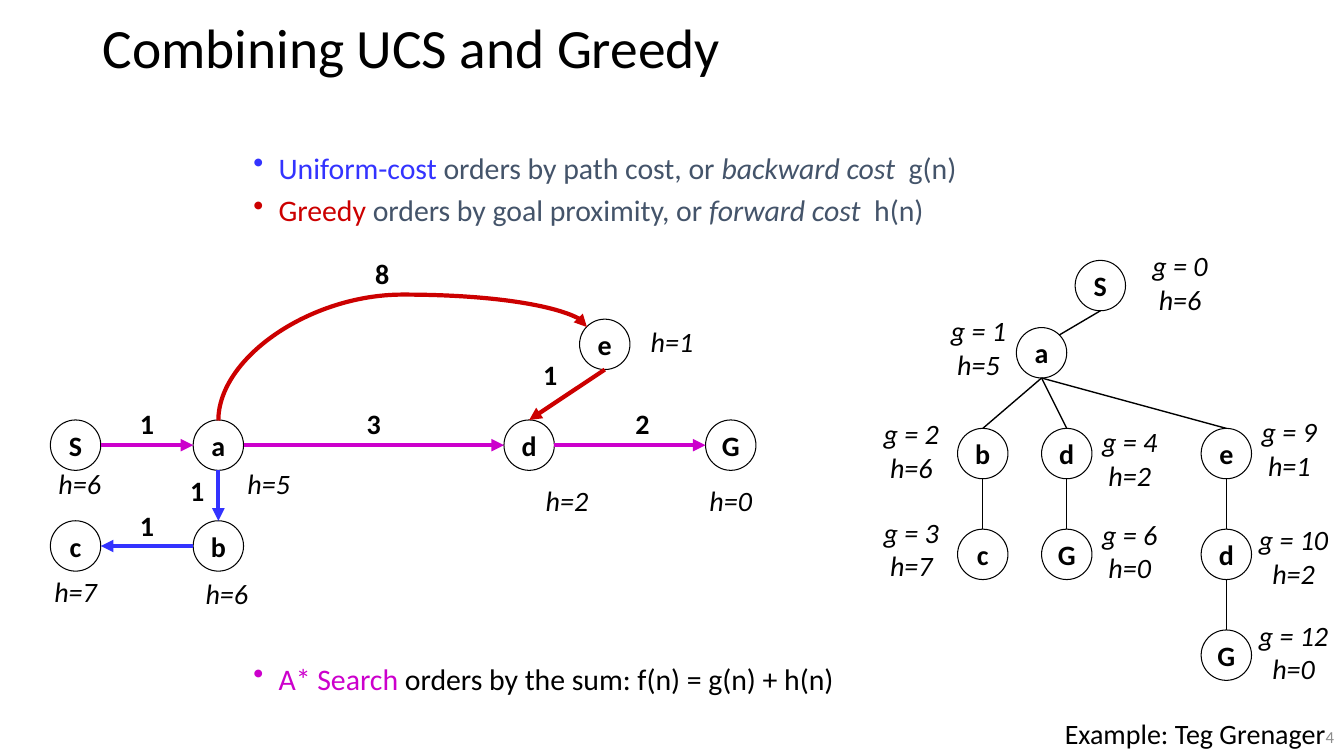
from dataclasses import dataclass
from math import sqrt

from lxml import etree
from pptx import Presentation
from pptx import util as u
from pptx.dml.color import RGBColor
from pptx.enum import shapes, text
from pptx.oxml import ns


@dataclass(frozen=True)
class Theme:
    font: str = "Calibri"
    black: str = "000000"
    white: str = "FFFFFF"
    slate: str = "44546A"
    grey: str = "8C8C8C"
    blue: str = "3333FF"
    red: str = "CC0000"
    purple: str = "CC00CC"
    title_size: float = 39.6
    body_size: float = 21.3
    label_size: float = 20
    number_size: float = 12


@dataclass(frozen=True)
class Run:
    text: str
    color: str
    italic: bool = False


@dataclass(frozen=True)
class Node:
    name: str
    left: float
    top: float


@dataclass(frozen=True)
class Edge:
    start: Node
    start_site: str
    end: Node
    end_site: str
    color: str
    width: float = 3
    arrow: bool = True


@dataclass(frozen=True)
class Label:
    text: str
    left: float
    top: float
    width: float
    bold: bool = False


THEME = Theme()
DIAMETER = 36
DIAGONAL = 1 / sqrt(2)
SITES = {
    "top": (0, -1), "bottom": (0, 1), "left": (-1, 0), "right": (1, 0),
    "top right": (DIAGONAL, -DIAGONAL),
}

S, A, D, G = (Node(name, left, 300) for name, left in
              (("S", 36), ("a", 138), ("d", 360), ("G", 504)))
B, C, E = Node("b", 138, 372), Node("c", 36, 372), Node("e", 414, 228)
GRAPH_NODES = (S, A, D, G, B, C, E)
GRAPH_EDGES = (
    Edge(S, "right", A, "left", THEME.purple),
    Edge(A, "right", D, "left", THEME.purple),
    Edge(D, "right", G, "left", THEME.purple),
    Edge(A, "bottom", B, "top", THEME.blue),
    Edge(B, "left", C, "right", THEME.blue),
    Edge(E, "bottom", D, "top", THEME.red),
)
GRAPH_LABELS = (
    Label("h=6", 24, 330, 66), Label("h=5", 156, 330, 72),
    Label("h=2", 378, 342, 54), Label("h=0", 486, 342, 72),
    Label("h=7", 24, 407, 60), Label("h=6", 132, 408, 60),
    Label("h=1", 450, 228, 60),
    Label("1", 84, 286.5, 42, True), Label("3", 246, 286.5, 42, True),
    Label("2", 438, 286.5, 42, True), Label("1", 120, 335, 42, True),
    Label("1", 84, 360, 42, True), Label("1", 372, 252, 42, True),
    Label("8", 258, 180, 30, True),
)

TREE_S, TREE_A = Node("S", 768, 186), Node("a", 726, 234)
TREE_B, TREE_C = Node("b", 684, 306), Node("c", 684, 378)
TREE_D, TREE_G = Node("d", 744, 306), Node("G", 744, 378)
TREE_E, TREE_ED, TREE_EG = (Node(name, 858, top) for name, top in
                            (("e", 306), ("d", 378), ("G", 450)))
TREE_NODES = (TREE_S, TREE_A, TREE_B, TREE_C, TREE_D, TREE_G,
              TREE_E, TREE_ED, TREE_EG)
TREE_LINKS = ((TREE_A, TREE_B), (TREE_A, TREE_D), (TREE_A, TREE_E),
              (TREE_B, TREE_C), (TREE_D, TREE_G), (TREE_E, TREE_ED),
              (TREE_ED, TREE_EG))
TREE_EDGES = (
    Edge(TREE_S, "bottom", TREE_A, "top right", THEME.black, 1, False),
    *(Edge(parent, "bottom", child, "top", THEME.black, 1, False)
      for parent, child in TREE_LINKS),
)
TREE_LABELS = (
    Label("g = 0\nh=6", 810, 174, 66), Label("g = 1\nh=5", 666, 220.5, 66),
    Label("g = 2\nh=6", 618, 294, 66), Label("g = 3\nh=7", 618, 364.5, 66),
    Label("g = 4\nh=2", 774, 300, 66), Label("g = 6\nh=0", 774, 366, 66),
    Label("g = 9\nh=1", 888, 292.5, 66), Label("g = 10\nh=2", 888, 370, 72),
    Label("g = 12\nh=0", 888, 438, 72),
)

COST_LINES = (
    (Run("Uniform-cost ", THEME.blue), Run("orders by path cost, or ", THEME.slate),
     Run("backward cost  ", THEME.slate, True), Run("g(n)", THEME.slate)),
    (Run("Greedy ", THEME.red), Run("orders by goal proximity, or ", THEME.slate),
     Run("forward cost  ", THEME.slate, True), Run("h(n)", THEME.slate)),
)
SUM_LINES = (
    (Run("A* Search", THEME.purple),
     Run(" orders by the sum: f(n) = g(n) + h(n)", THEME.black)),
)


def write_text(frame, content, *, size=THEME.label_size, color=THEME.black, bold=False,
               italic=False, align=text.PP_ALIGN.CENTER, anchor=text.MSO_ANCHOR.TOP,
               wrap=True, spacing=1.0, before=0, bullet=False) -> None:
    frame.word_wrap = wrap
    frame.auto_size = text.MSO_AUTO_SIZE.NONE
    frame.vertical_anchor = anchor
    lines = content
    if isinstance(content, str):
        lines = [(Run(line, color, italic),) for line in content.split("\n")]
    for index, line in enumerate(lines):
        paragraph = frame.add_paragraph() if index else frame.paragraphs[0]
        paragraph.alignment = align
        paragraph.line_spacing = spacing
        paragraph.space_before = u.Pt(before)
        if bullet:
            properties = paragraph._p.get_or_add_pPr()
            properties.set("marL", str(u.Pt(18)))
            properties.set("indent", str(-u.Pt(18)))
            etree.SubElement(properties, ns.qn("a:buChar")).set("char", "•")
        for item in line:
            run = paragraph.add_run()
            run.text = item.text
            run.font.name = THEME.font
            run.font.size = u.Pt(size)
            run.font.bold = bold
            run.font.italic = item.italic
            run.font.color.rgb = RGBColor.from_string(item.color)


def add_text(slide, content, left: float, top: float, width: float, height: float, **style):
    shape = slide.shapes.add_textbox(*map(u.Pt, (left, top, width, height)))
    write_text(shape.text_frame, content, **style)


def add_node(slide, node: Node):
    shape = slide.shapes.add_shape(
        shapes.MSO_SHAPE.OVAL, *map(u.Pt, (node.left, node.top, DIAMETER, DIAMETER)))
    shape.shadow.inherit = False
    shape.fill.solid()
    shape.fill.fore_color.rgb = RGBColor.from_string(THEME.white)
    shape.line.color.rgb = RGBColor.from_string(THEME.black)
    shape.line.width = u.Pt(0.75)
    write_text(shape.text_frame, node.name, bold=True, wrap=False,
               anchor=text.MSO_ANCHOR.MIDDLE)
    return shape


def site_point(node: Node, site: str) -> tuple[float, float]:
    radius = DIAMETER / 2
    across, down = SITES[site]
    return node.left + radius * (1 + across), node.top + radius * (1 + down)


def format_line(connector, color: str, width: float, arrow: bool) -> None:
    connector.line.color.rgb = RGBColor.from_string(color)
    connector.line.width = u.Pt(width)
    if arrow:
        line = connector.line._get_or_add_ln()
        etree.SubElement(line, ns.qn("a:tailEnd")).set("type", "triangle")
    etree.SubElement(connector._element.spPr, ns.qn("a:effectLst"))


def add_edge(slide, edge: Edge) -> None:
    points = site_point(edge.start, edge.start_site) + site_point(edge.end, edge.end_site)
    connector = slide.shapes.add_connector(
        shapes.MSO_CONNECTOR.STRAIGHT, *map(u.Pt, points))
    format_line(connector, edge.color, edge.width, edge.arrow)


def add_detour(slide, start, end) -> None:
    connector = slide.shapes.add_connector(shapes.MSO_CONNECTOR.CURVE, 0, 0, 0, 0)
    connector.begin_connect(start, 0)
    connector.end_connect(end, 1)
    connector.left, connector.top = u.Pt(254.27), u.Pt(135.36)
    connector.width, connector.height = u.Pt(66.73), u.Pt(263.27)
    properties = connector._element.spPr
    frame = properties.find(ns.qn("a:xfrm"))
    for flip in ("flipH", "flipV"):
        frame.attrib.pop(flip, None)
    frame.set("rot", str(270 * 60000))
    guides = properties.find(ns.qn("a:prstGeom")).find(ns.qn("a:avLst"))
    guide = etree.SubElement(guides, ns.qn("a:gd"))
    guide.set("name", "adj1")
    guide.set("fmla", "val 134800")
    format_line(connector, THEME.red, 3, True)


def main() -> None:
    presentation = Presentation()
    presentation.slide_width, presentation.slide_height = u.Pt(960), u.Pt(540)
    slide = presentation.slides.add_slide(presentation.slide_layouts[5])
    title = slide.shapes.title
    title.left, title.top, title.width, title.height = map(u.Pt, (66, 9.5, 828, 52.5))
    write_text(title.text_frame, "Combining UCS and Greedy", size=THEME.title_size,
               align=text.PP_ALIGN.LEFT, anchor=text.MSO_ANCHOR.MIDDLE, spacing=0.9)
    for lines, top, height in ((COST_LINES, 108, 66), (SUM_LINES, 473, 36)):
        add_text(slide, lines, 174, top, 648, height, size=THEME.body_size,
                 align=text.PP_ALIGN.LEFT, spacing=0.8, before=10, bullet=True)
    ovals = {node: add_node(slide, node) for node in GRAPH_NODES + TREE_NODES}
    for edge in GRAPH_EDGES + TREE_EDGES:
        add_edge(slide, edge)
    add_detour(slide, ovals[A], ovals[E])
    for label in GRAPH_LABELS + TREE_LABELS:
        height = 31 + 24 * label.text.count("\n")
        add_text(slide, label.text, label.left, label.top, label.width, height,
                 bold=label.bold, italic=not label.bold)
    add_text(slide, "Example: Teg Grenager", 732, 508.5, 222, 31.5,
             align=text.PP_ALIGN.RIGHT)
    add_text(slide, "4", 917.5, 512.5, 42.5, 27.5, size=THEME.number_size,
             color=THEME.grey, align=text.PP_ALIGN.RIGHT, anchor=text.MSO_ANCHOR.MIDDLE)
    presentation.save("out.pptx")


if __name__ == "__main__":
    main()
